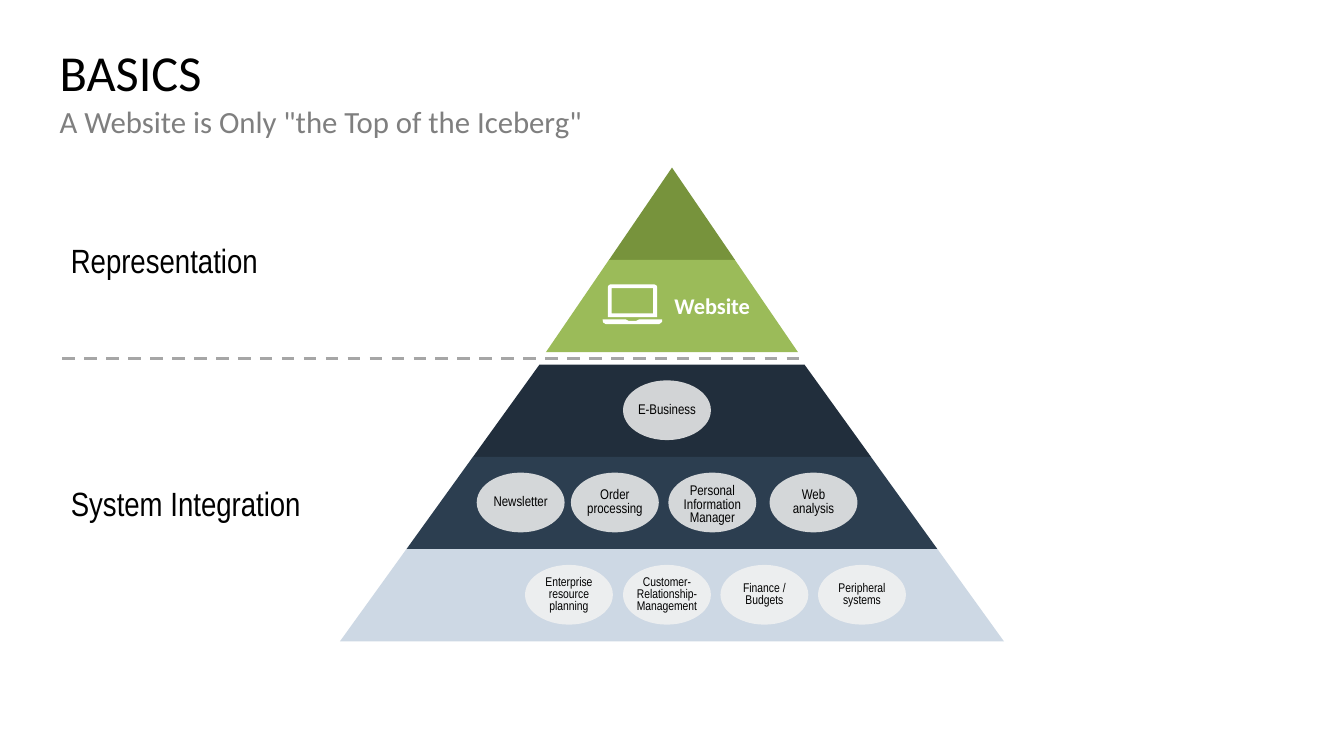
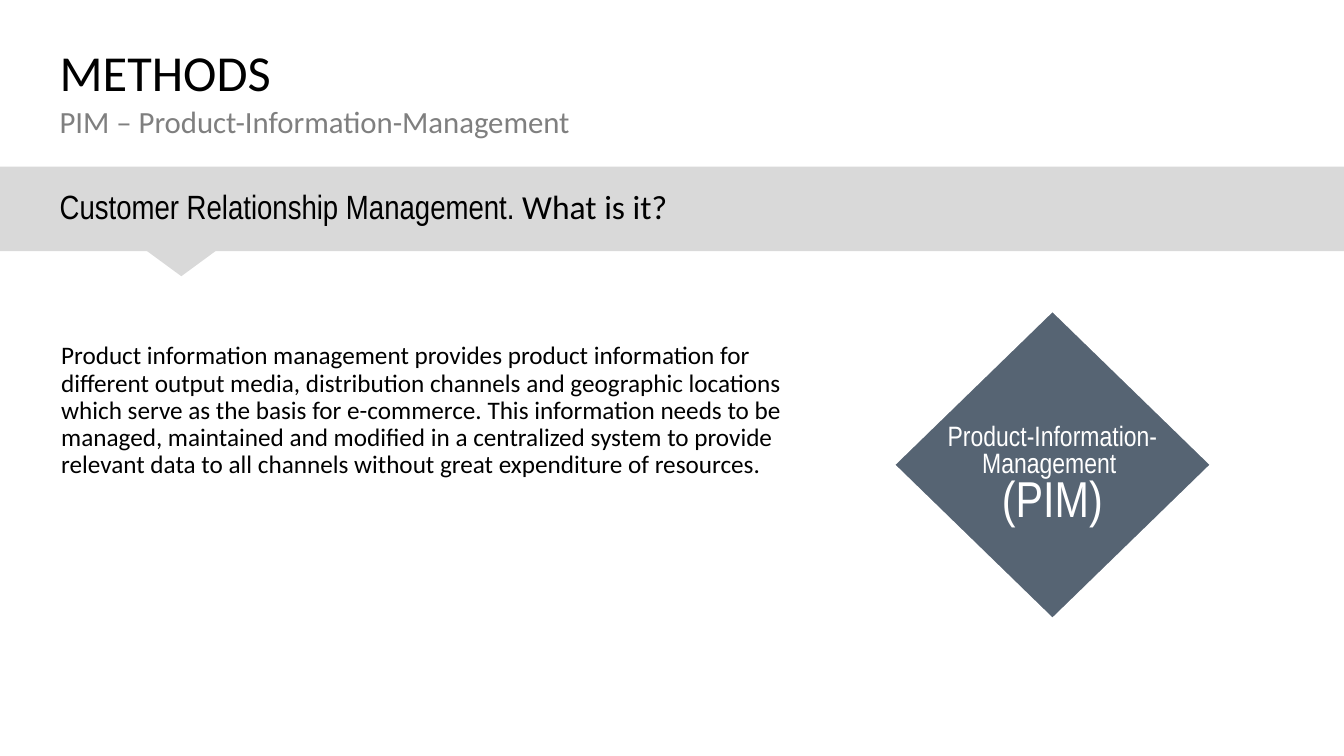
"""Build two slides: the iceberg pyramid of a website and an introduction to PIM."""
from lxml import etree
from pptx import Presentation
from pptx.dml.color import RGBColor
from pptx.enum.dml import MSO_LINE
from pptx.enum.shapes import MSO_CONNECTOR, MSO_SHAPE as SHAPE
from pptx.enum.text import MSO_ANCHOR as ANCHOR, MSO_AUTO_SIZE, PP_ALIGN as ALIGN
from pptx.oxml.ns import qn
from pptx.util import Pt

BLACK, WHITE, GREY = "000000", "FFFFFF", "7F7F7F"
BAND_GREY, DASH_GREY, BUBBLE_GREY, NAVY = "D9D9D9", "A6A6A6", "F2F2F2", "2C3E50"
SANS, NARROW = "Calibri", "Arial Narrow"
SLIDE_W, SLIDE_H = 960, 540
MARGIN, HEADER_W = 42.6, 875

BASICS = ("BASICS", 'A Website is Only "the Top of the Iceberg"')
METHODS = ("METHODS", "PIM – Product-Information-Management")

CENTER_X, TIER_H = 480, 65.9
PYRAMID_PARTS = [
    {"label": "Representation", "top": 119.7, "half": 0, "step": 45,
     "tiers": ["77933C", "9BBB59"]},
    {"label": "System Integration", "top": 260.5, "half": 94.7, "step": 47.5,
     "tiers": ["212E3C", NAVY, "CDD8E4"]},
]
BUBBLE_W, BUBBLE_H, BUBBLE_INSET = 62.8, 42.7, 11.2
BUBBLE_ROWS = [
    (10, [(445, "E-Business")]),
    (10, [(340.5, "Newsletter"), (407.8, "Order processing"),
          (477.4, "Personal Information Manager"), (549.7, "Web analysis")]),
    (9, [(375, "Enterprise resource planning"),
         (445, "Customer-Relationship-Management"),
         (514.6, "Finance / Budgets"), (584.3, "Peripheral systems")]),
]
BUBBLE_TEXT_DROP = {"Personal Information Manager": 3.6}
LAPTOP_SCREEN = [
    [(434.2, 226.6), (434.2, 205), (434.8, 203.8), (436, 203.2), (467.4, 203.2),
     (468.8, 203.8), (469.4, 205), (469.4, 226.6)],
    [(437, 223.9), (466.6, 223.9), (466.6, 205.9), (437, 205.9)],
]
LAPTOP_BASE = [
    [(430.4, 228.2), (447, 228.2), (449, 229.2), (454.5, 229.2), (456.5, 228.2),
     (473, 228.2), (472.9, 230), (470.8, 231.6), (432.8, 231.6), (430.8, 230.4)],
]

QUESTION = [("Customer Relationship Management. ", {}), ("What is it?", {"font": SANS})]
DEFINITION = (
    "Product information management provides product information for different output "
    "media, distribution channels and geographic locations which serve as the basis for "
    "e-commerce. This information needs to be managed, maintained and modified in a "
    "centralized system to provide relevant data to all channels without great "
    "expenditure of resources."
)
PIM = [("Product-Information-\nManagement \n", {}), ("(PIM)", {"size": 36})]


def rgb(color):
    return RGBColor.from_string(color)


def points(*lengths):
    return [Pt(length) for length in lengths]


def write(shape, runs, size=18, font=SANS, color=BLACK, bold=False, align=ALIGN.LEFT,
          anchor=ANCHOR.TOP, spacing=0.9, insets=(0, 0, 0, 0), wrap=True):
    frame = shape.text_frame
    frame.auto_size = MSO_AUTO_SIZE.NONE
    frame.word_wrap, frame.vertical_anchor = wrap, anchor
    (frame.margin_left, frame.margin_top,
     frame.margin_right, frame.margin_bottom) = points(*insets)
    paragraph = frame.paragraphs[0]
    paragraph.alignment, paragraph.line_spacing = align, spacing
    for text, changes in [(runs, {})] if isinstance(runs, str) else runs:
        for index, line in enumerate(text.split("\n")):
            if index:
                paragraph.add_line_break()
            if line:
                run = paragraph.add_run()
                run.text = line
                run.font.size = Pt(changes.get("size", size))
                run.font.name = changes.get("font", font)
                run.font.color.rgb = rgb(color)
                run.font.bold = bold


def paint(shape, color, opacity=100):
    shape.shadow.inherit = False
    shape.fill.solid()
    shape.fill.fore_color.rgb = rgb(color)
    shape.line.fill.background()
    if opacity < 100:
        fill_color = shape.fill._xPr.find(qn("a:solidFill"))[0]
        etree.SubElement(fill_color, qn("a:alpha"), val=str(opacity * 1000))


def add_preset(slide, kind, box, color, opacity=100):
    shape = slide.shapes.add_shape(kind, *points(*box))
    paint(shape, color, opacity)
    return shape


def add_text(slide, box, runs, **style):
    write(slide.shapes.add_textbox(*points(*box)), runs, **style)


def add_outline(slide, contours, color):
    builder = None
    for contour in contours:
        start, *others = [points(*corner) for corner in contour]
        if builder is None:
            builder = slide.shapes.build_freeform(*start)
        else:
            builder.move_to(*start)
        builder.add_line_segments(others, close=True)
    paint(builder.convert_to_shape(), color)


def add_titled_slide(deck, title, subtitle):
    slide = deck.slides.add_slide(deck.slide_layouts[5])
    heading = slide.shapes.title
    heading.left, heading.top, heading.width, heading.height = points(MARGIN, 34, HEADER_W, 85)
    write(heading, title, size=36)
    add_text(slide, (MARGIN, 76.3, HEADER_W, 42.5), subtitle, size=22, color=GREY)
    return slide


def add_pyramid_part(slide, part):
    for index, color in enumerate(part["tiers"]):
        top = part["top"] + index * TIER_H
        upper = part["half"] + index * part["step"]
        lower = upper + part["step"]
        corners = [(CENTER_X - upper, top), (CENTER_X - lower, top + TIER_H),
                   (CENTER_X + lower, top + TIER_H), (CENTER_X + upper, top)]
        add_outline(slide, [corners], color)
    add_text(slide, (43.5, part["top"], 193, TIER_H * len(part["tiers"])), part["label"],
             size=24, font=NARROW, anchor=ANCHOR.MIDDLE, spacing=1.0,
             insets=(7.2, 3.6, 7.2, 3.6))


def add_divider(slide):
    divider = slide.shapes.add_connector(MSO_CONNECTOR.STRAIGHT,
                                         *points(44.6, 256.2, 573, 256.2))
    divider.line.color.rgb = rgb(DASH_GREY)
    divider.line.width = Pt(2.25)
    divider.line.dash_style = MSO_LINE.DASH
    etree.SubElement(divider._element.spPr, qn("a:effectLst"))


def build_basics(deck):
    slide = add_titled_slide(deck, *BASICS)
    for part in PYRAMID_PARTS:
        add_pyramid_part(slide, part)
    add_text(slide, (473.4, 204.5, 70.6, 27.4), "Website", size=16, color=WHITE, bold=True,
             align=ALIGN.CENTER, anchor=ANCHOR.MIDDLE, spacing=1.0, wrap=False)
    for row, (size, bubbles) in enumerate(BUBBLE_ROWS):
        top = PYRAMID_PARTS[1]["top"] + row * TIER_H + BUBBLE_INSET
        for left, label in bubbles:
            bubble = add_preset(slide, SHAPE.OVAL, (left, top, BUBBLE_W, BUBBLE_H),
                                BUBBLE_GREY, opacity=85)
            write(bubble, label, size=size, font=NARROW, align=ALIGN.CENTER,
                  anchor=ANCHOR.MIDDLE, spacing=0.8,
                  insets=(0, BUBBLE_TEXT_DROP.get(label, 0), 0, 0))
    for contours in (LAPTOP_SCREEN, LAPTOP_BASE):
        add_outline(slide, contours, WHITE)
    add_divider(slide)


def build_methods(deck):
    slide = add_titled_slide(deck, *METHODS)
    band = add_preset(slide, SHAPE.RECTANGLE, (0, 119, SLIDE_W, 60.5), BAND_GREY)
    write(band, QUESTION, size=24, font=NARROW, anchor=ANCHOR.MIDDLE,
          insets=(MARGIN, 3.6, MARGIN, 3.6))
    pointer = add_preset(slide, SHAPE.ISOSCELES_TRIANGLE, (104, 178.6, 51, 18.7), BAND_GREY)
    pointer.rotation = 180
    add_text(slide, (43.7, 245, 518, 98), DEFINITION)
    diamond = add_preset(slide, SHAPE.FLOWCHART_DECISION, (633, 216.5, 237.6, 231),
                         NAVY, opacity=80)
    diamond.line.color.rgb = rgb(WHITE)
    diamond.line.width = Pt(9.25)
    write(diamond, PIM, size=20, font=NARROW, color=WHITE, align=ALIGN.CENTER,
          anchor=ANCHOR.MIDDLE, spacing=0.8, insets=(7.2, 19.6, 7.2, 3.6), wrap=False)


def main():
    deck = Presentation()
    deck.slide_width, deck.slide_height = points(SLIDE_W, SLIDE_H)
    build_basics(deck)
    build_methods(deck)
    deck.save("out.pptx")


if __name__ == "__main__":
    main()
